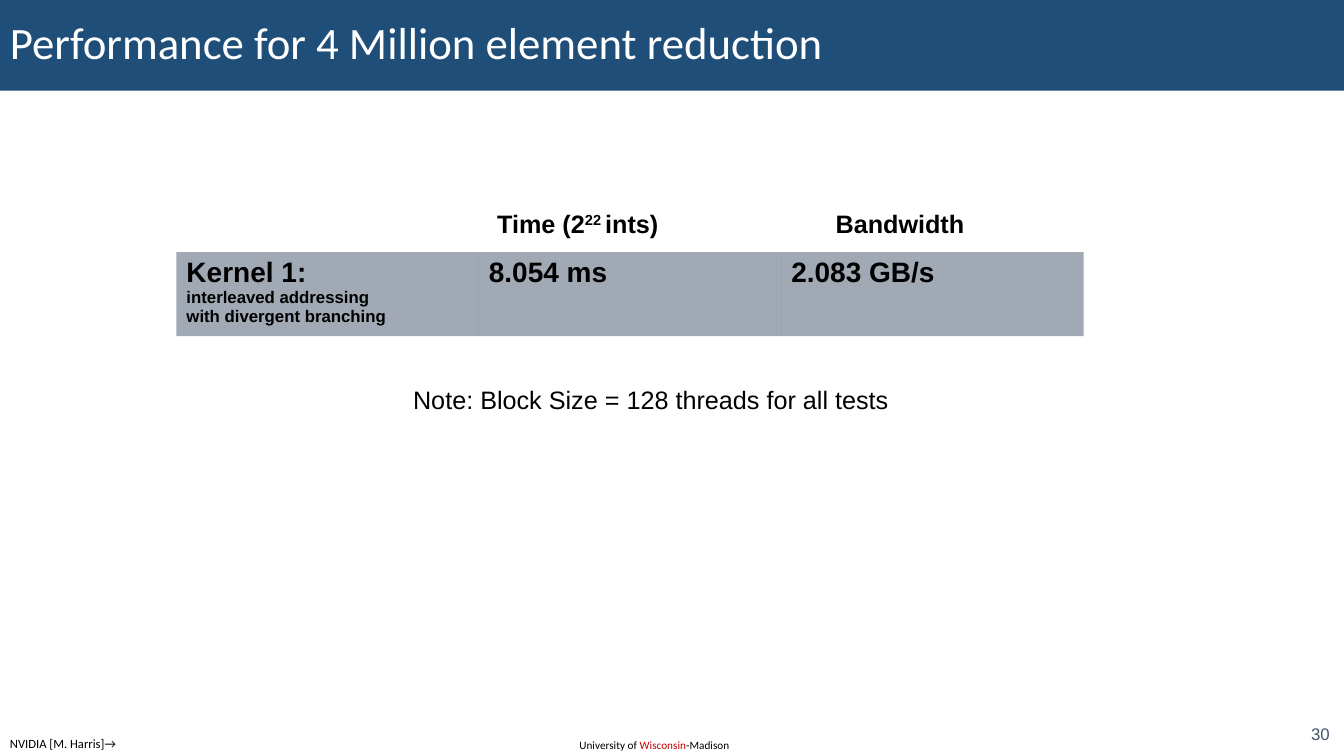
from lxml import etree
from pptx import Presentation
from pptx.dml.color import RGBColor
from pptx.enum.shapes import MSO_SHAPE
from pptx.enum.text import MSO_ANCHOR, PP_ALIGN
from pptx.oxml.ns import qn
from pptx.util import Inches, Pt

RECT = MSO_SHAPE.RECTANGLE
MIDDLE, TOP = MSO_ANCHOR.MIDDLE, MSO_ANCHOR.TOP
LEFT, RIGHT = PP_ALIGN.LEFT, PP_ALIGN.RIGHT
UNIT = Inches(1 / 12)
COLS, ROWS = 160, 90
BLACK, WHITE, NAVY, SLATE, RED = "000000", "FFFFFF", "1F4E79", "44546A", "C00000"


def grid(*cells):
    """Turn grid columns and rows into lengths."""
    return [round(cell * UNIT) for cell in cells]


def color(value):
    """Make a colour from a hex string."""
    return RGBColor.from_string(value)


def style(para, size, face="Arial", ink=BLACK, bold=False, align=LEFT):
    """Set the font and alignment of a paragraph."""
    para.alignment = align
    font = para.font
    font.name, font.size, font.bold = face, Pt(size), bold
    font.color.rgb = color(ink)


def add_text(slide, at, parts, size, anchor=TOP, **look):
    """Add a one-line text box and return its runs."""
    frame = slide.shapes.add_textbox(*grid(*at)).text_frame
    frame.word_wrap = False
    frame.vertical_anchor = anchor
    para = frame.paragraphs[0]
    for part in parts:
        para.add_run().text = part
    style(para, size, **look)
    return para.runs


def add_title(slide, text):
    """Add the title band across the slide."""
    band = slide.shapes.add_shape(RECT, *grid(0, 0, COLS, 10.8))
    band.shadow.inherit = False
    band.fill.solid()
    band.fill.fore_color.rgb = color(NAVY)
    band.line.fill.background()
    frame = band.text_frame
    frame.word_wrap = True
    frame.vertical_anchor = MIDDLE
    para = frame.paragraphs[0]
    para.text = text
    para.line_spacing = 0.9
    style(para, 32, "Calibri", WHITE)


def tint(cell):
    """Fill a cell half transparent and hide its borders."""
    cell.fill.solid()
    cell.fill.fore_color.rgb = color(SLATE)
    props = cell._tc.tcPr
    shade = props.find(".//" + qn("a:srgbClr"))
    etree.SubElement(shade, qn("a:alpha"), val="50000")
    for place, side in enumerate(("lnL", "lnR", "lnT", "lnB")):
        edge = etree.Element(qn("a:" + side), w="0")
        etree.SubElement(edge, qn("a:noFill"))
        props.insert(place, edge)


def add_table(slide, at, texts):
    """Add a one-row table with a large first line in each cell."""
    table = slide.shapes.add_table(1, len(texts), *grid(*at)).table
    table.first_row = table.horz_banding = False
    for cell, lines in zip(table.rows[0].cells, texts):
        tint(cell)
        para = cell.text_frame.paragraphs[0]
        para.add_run().text = lines[0]
        style(para, 20, bold=True)
        for line in lines[1:]:
            para.add_line_break()
            run = para.add_run()
            run.text = line
            run.font.size = Pt(12)


def main():
    """Build the slide and save it."""
    deck = Presentation()
    deck.slide_width, deck.slide_height = grid(COLS, ROWS)
    slide = deck.slides.add_slide(deck.slide_layouts[6])
    add_title(slide, "Performance for 4 Million element reduction")

    head = add_text(slide, (58, 24.2, 22, 4.8), ("Time (2", "22 ", "ints)"), 18, bold=True)
    head[1]._r.get_or_add_rPr().set("baseline", "30000")
    add_text(slide, (98.3, 24.2, 17.8, 4.8), ("Bandwidth",), 18, bold=True)
    add_table(slide, (21, 30, 108, 10), (
        ("Kernel 1:", "interleaved addressing", "with divergent branching"),
        ("8.054 ms",),
        ("2.083 GB/s",),
    ))
    add_text(slide, (48, 45.2, 59, 4.8),
             ("Note: Block Size = 128 threads for all tests",), 18)

    add_text(slide, (0, 87, 15, 3), ("NVIDIA [M. Harris]→",), 9, face="Calibri")
    school = add_text(slide, (67.8, 87.3, 20.6, 2.9),
                      ("University of ", "Wisconsin", "-Madison"), 8, face="Calibri")
    school[1].font.color.rgb = color(RED)
    add_text(slide, (150.4, 85.6, 9.1, 3.5), ("30",), 12, MIDDLE, ink=SLATE, align=RIGHT)
    deck.save("out.pptx")


if __name__ == "__main__":
    main()
